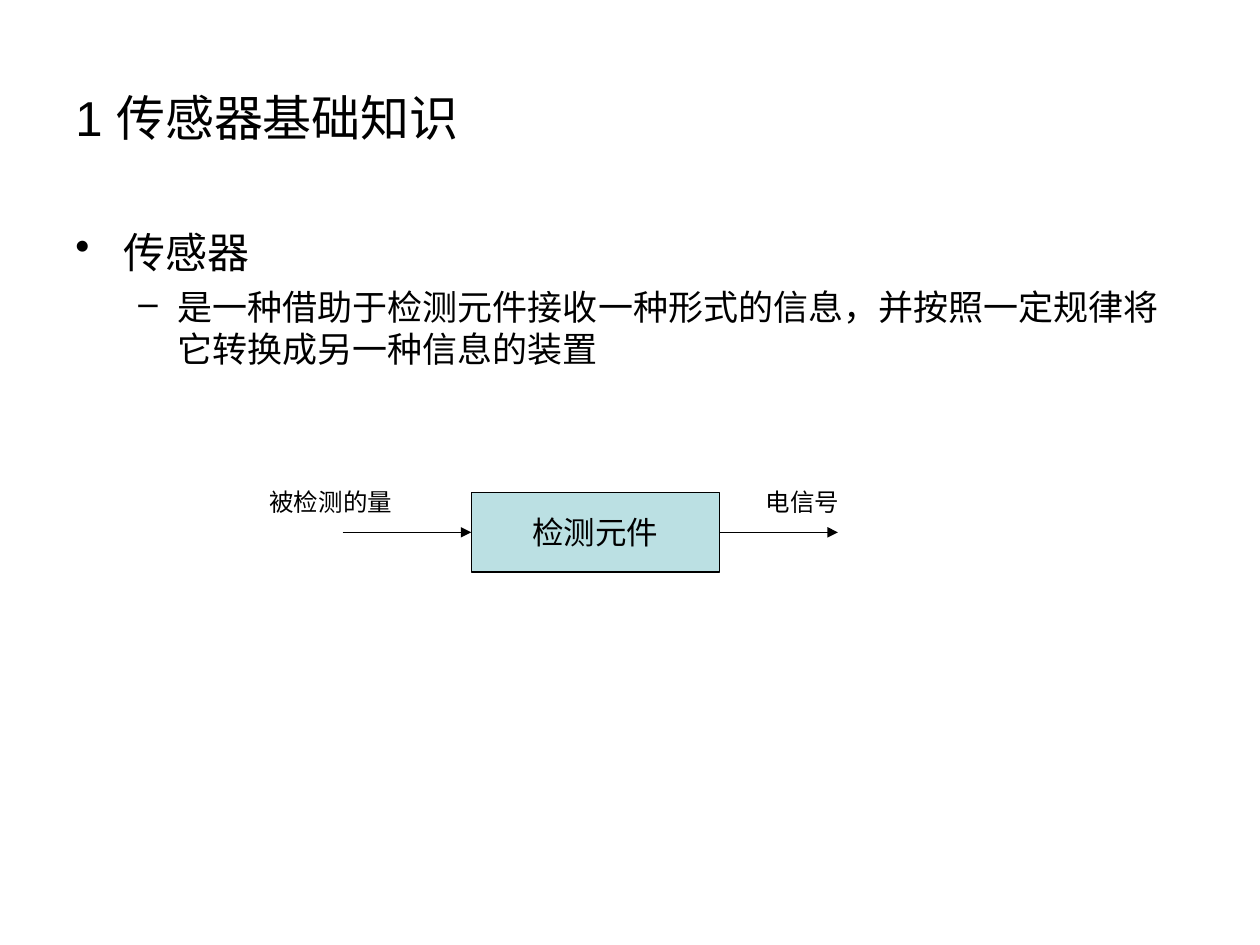
"""Build a slide that defines a sensor and shows its signal flow."""
import dataclasses
import typing

import pptx
import pptx.dml.color
import pptx.enum.shapes
import pptx.enum.text
import pptx.oxml.ns
import pptx.util
from lxml import etree

COLS, ROWS = 200, 150
ANCHOR = pptx.enum.text.MSO_ANCHOR
FIT = pptx.enum.text.MSO_AUTO_SIZE
ALIGN = pptx.enum.text.PP_ALIGN


@dataclasses.dataclass(frozen=True)
class Theme:
    """Hold the colours, font and type sizes."""
    ink: str = "000000"
    fill: str = "BBE0E3"
    font: str = "Arial"
    title: int = 28
    head: int = 24
    body: int = 20
    sensor: int = 18
    label: int = 14
    line: float = 0.75


@dataclasses.dataclass(frozen=True)
class Area:
    """Place an item by grid column, row, width and height."""
    col: float
    row: float
    wide: float
    high: float


@dataclasses.dataclass(frozen=True)
class Line:
    """Describe one paragraph and its bullet."""
    text: str
    size: int
    mark: str = ""
    left: float = 0
    hang: float = 0
    gap: int = 0


@dataclasses.dataclass(frozen=True)
class Block:
    """Describe a text box with its frame format."""
    area: Area
    lines: list[Line]
    frame: dict[str, typing.Any]


LOOK = Theme()
SENSOR = Area(74.8, 78.2, 39.4, 12.6)
MID = SENSOR.row + SENSOR.high / 2
GROW = {"word_wrap": True, "auto_size": FIT.SHAPE_TO_FIT_TEXT}
BLOCKS = [
    Block(Area(10, 6, 180, 25), [Line("1 传感器基础知识", LOOK.title)],
          {"word_wrap": True, "vertical_anchor": ANCHOR.MIDDLE}),
    Block(Area(10, 35, 180, 99), [
        Line("传感器", LOOK.head, "•", 0.38, 0.38),
        Line("是一种借助于检测元件接收一种形式的信息，并按照一定规律将它转换成另一种信息的装置",
             LOOK.body, "–", 0.81, 0.31, 5),
    ], {"word_wrap": True}),
    Block(Area(119.6, 76.4, 27, 6.8), [Line("电信号", LOOK.label)], GROW),
    Block(Area(40.8, 76.4, 27, 6.8), [Line("被检测的量", LOOK.label)], GROW),
]


def tint(code: str) -> pptx.dml.color.RGBColor:
    """Return a colour from its hex code."""
    return pptx.dml.color.RGBColor.from_string(code)


def apply(item: typing.Any, style: dict[str, typing.Any]) -> None:
    """Set each named attribute on an item."""
    for name, value in style.items():
        setattr(item, name, value)


def spot(deck: typing.Any, col: float, row: float) -> tuple[int, int]:
    """Turn grid columns and rows into slide lengths."""
    return round(deck.slide_width * col / COLS), round(deck.slide_height * row / ROWS)


def place(deck: typing.Any, area: Area) -> tuple[int, ...]:
    """Return the left, top, width and height of an area."""
    return *spot(deck, area.col, area.row), *spot(deck, area.wide, area.high)


def write(para: typing.Any, line: Line) -> None:
    """Write a paragraph with its bullet, indent and font."""
    para.text = line.text
    if line.mark:
        props = para._p.get_or_add_pPr()
        props.set("marL", str(pptx.util.Inches(line.left)))
        props.set("indent", str(-pptx.util.Inches(line.hang)))
        etree.SubElement(props, pptx.oxml.ns.qn("a:buChar"), char=line.mark)
    if line.gap:
        para.space_before = pptx.util.Pt(line.gap)
    font = para.runs[0].font
    apply(font, {"name": LOOK.font, "size": pptx.util.Pt(line.size)})
    font.color.rgb = tint(LOOK.ink)


def stroke(item: typing.Any) -> None:
    """Draw the outline of a shape or connector."""
    item.line.color.rgb = tint(LOOK.ink)
    item.line.width = pptx.util.Pt(LOOK.line)


def block(deck: typing.Any, slide: typing.Any, data: Block) -> None:
    """Add a text box."""
    frame = slide.shapes.add_textbox(*place(deck, data.area)).text_frame
    apply(frame, data.frame)
    for num, line in enumerate(data.lines):
        write(frame.add_paragraph() if num else frame.paragraphs[0], line)


def sensor(deck: typing.Any, slide: typing.Any) -> typing.Any:
    """Add the sensing element and return it."""
    kind = pptx.enum.shapes.MSO_SHAPE.RECTANGLE
    shape = slide.shapes.add_shape(kind, *place(deck, SENSOR))
    shape.shadow.inherit = False
    shape.fill.solid()
    shape.fill.fore_color.rgb = tint(LOOK.fill)
    stroke(shape)
    frame = shape.text_frame
    apply(frame, {"word_wrap": False, "vertical_anchor": ANCHOR.MIDDLE})
    write(frame.paragraphs[0], Line("检测元件", LOOK.sensor))
    frame.paragraphs[0].alignment = ALIGN.CENTER
    return shape


def arrow(deck: typing.Any, slide: typing.Any, start: float, end: float) -> typing.Any:
    """Add a level arrow between two columns and return it."""
    kind = pptx.enum.shapes.MSO_CONNECTOR.STRAIGHT
    link = slide.shapes.add_connector(kind, *spot(deck, start, MID), *spot(deck, end, MID))
    stroke(link)
    props = link._element.spPr
    edge = props.find(pptx.oxml.ns.qn("a:ln"))
    etree.SubElement(edge, pptx.oxml.ns.qn("a:tailEnd"), type="triangle")
    etree.SubElement(props, pptx.oxml.ns.qn("a:effectLst"))
    return link


def main() -> None:
    """Build and save the slide."""
    deck = pptx.Presentation()
    apply(deck, {"slide_width": pptx.util.Inches(10), "slide_height": pptx.util.Inches(7.5)})
    slide = deck.slides.add_slide(deck.slide_layouts[6])
    for data in BLOCKS[:2]:
        block(deck, slide, data)
    shape = sensor(deck, slide)
    arrow(deck, slide, 54.4, SENSOR.col).end_connect(shape, 1)
    arrow(deck, slide, SENSOR.col + SENSOR.wide, 133).begin_connect(shape, 3)
    for data in BLOCKS[2:]:
        block(deck, slide, data)
    deck.save("out.pptx")


if __name__ == "__main__":
    main()
